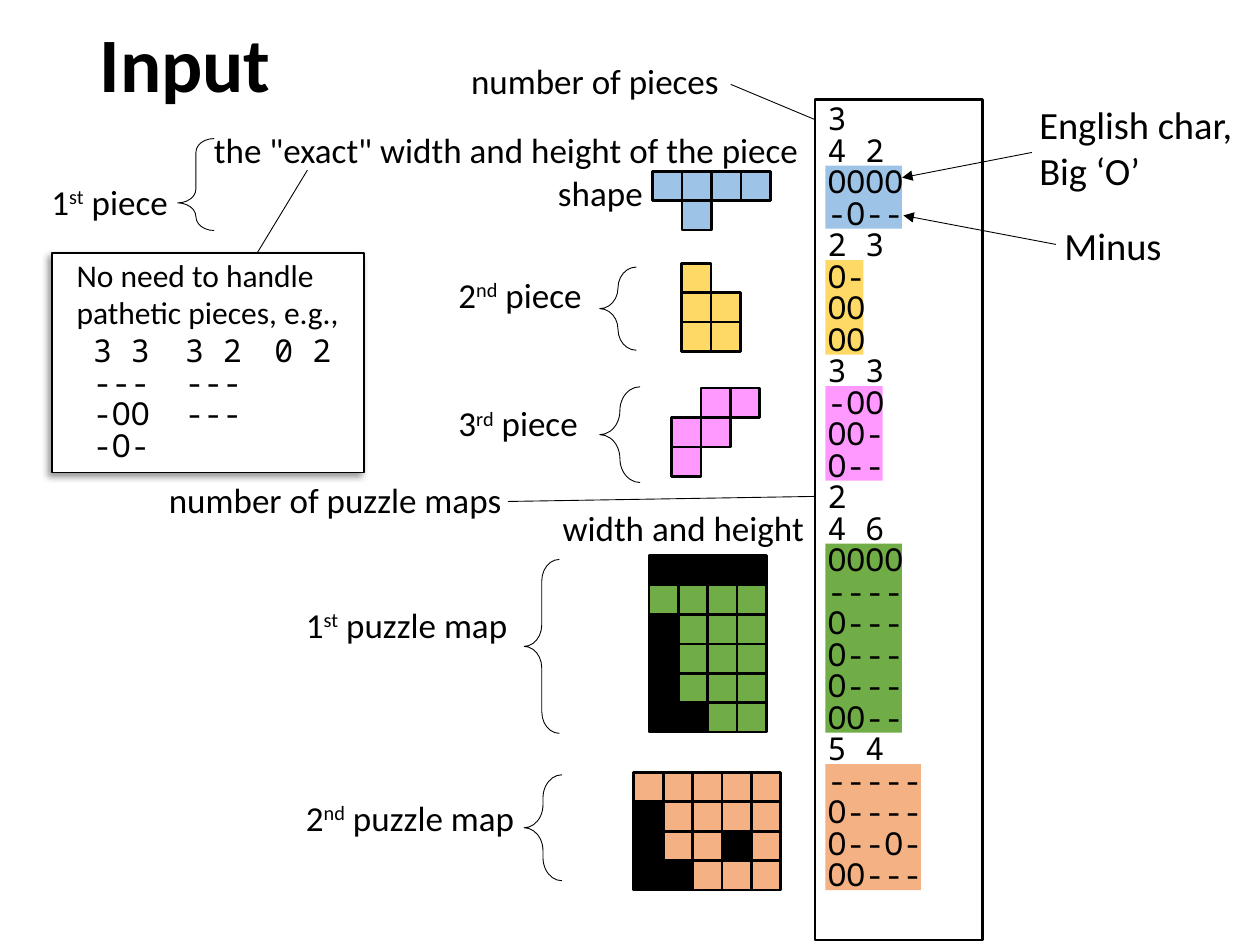
from dataclasses import dataclass

from lxml import etree
from pptx import Presentation
from pptx import util as u
from pptx.dml.color import RGBColor
from pptx.enum import shapes, text
from pptx.oxml import ns


@dataclass(frozen=True)
class Theme:
    """Fonts, sizes and colours of the slide."""
    sans: str = "Calibri"
    mono: str = "Noto Sans Mono"
    title: int = 44
    note: int = 22
    label: int = 20
    code: int = 18
    thin: float = 0.5
    frame: float = 1
    bold: float = 1.5
    black: str = "000000"
    white: str = "FFFFFF"
    blue: str = "9DC3E6"
    yellow: str = "FFD966"
    pink: str = "FF99FF"
    green: str = "70AD47"
    orange: str = "F4B183"


T = Theme()
COLUMNS, ROWS = 100, 75
UNIT = u.Inches(0.1)
CELL = 7 / 3
LINE = 2.5
CHAR = 1.52
LISTING = (64.7, 7.9, 13.3, 66.7)

PIECES = [
    (("OOOO", "-O--"), T.blue, (51.8, 13.6)),
    (("O-", "OO", "OO"), T.yellow, (54.1, 20.9)),
    (("-OO", "OO-", "O--"), T.pink, (53.3, 30.8)),
]
MAPS = [
    (("OOOO", "----", "O---", "O---", "O---", "OO--"), T.green, (51.5, 44.1)),
    (("-----", "O----", "O--O-", "OO---"), T.orange, (50.3, 61.3)),
]


def grid(*cells):
    """Turn grid units into slide lengths."""
    return [round(c * UNIT) for c in cells]


def rgb(color):
    """Read a hex colour."""
    return RGBColor.from_string(color)


def write(tf, content, size=T.label, font=T.sans, bold=False, align=None,
          spacing=None, wrap=True):
    """Fill a text frame; carets enclose superscripts."""
    tf.word_wrap = wrap
    for i, line in enumerate(content.split("\n")):
        p = tf.paragraphs[0] if i == 0 else tf.add_paragraph()
        p.alignment = align
        p.line_spacing = spacing
        for j, part in enumerate(line.split("^")):
            r = p.add_run()
            r.text = part
            r.font.size, r.font.name, r.font.bold = u.Pt(size), font, bold
            r.font.color.rgb = rgb(T.black)
            if j % 2:
                r.font._element.set("baseline", "30000")


def add_label(slide, box, content, **fmt):
    """Add a text box."""
    sp = slide.shapes.add_textbox(*grid(*box))
    write(sp.text_frame, content, **fmt)
    return sp


def add_code(slide, box, content):
    """Add monospaced lines at a fixed pitch."""
    return add_label(slide, box, content, size=T.code, font=T.mono,
                     spacing=u.Pt(T.code))


def add_box(parent, box, fill=None, line=None, kind=shapes.MSO_SHAPE.RECTANGLE):
    """Add a plain shape with optional fill and black outline."""
    sp = parent.shapes.add_shape(kind, *grid(*box))
    sp.shadow.inherit = False
    if fill:
        sp.fill.solid()
        sp.fill.fore_color.rgb = rgb(fill)
    else:
        sp.fill.background()
    if line:
        sp.line.color.rgb = rgb(T.black)
        sp.line.width = u.Pt(line)
    else:
        sp.line.fill.background()
    return sp


def add_brace(slide, box, tip=0.5):
    """Add a left brace whose tip sits at a share of its height."""
    sp = add_box(slide, box, line=T.thin, kind=shapes.MSO_SHAPE.LEFT_BRACE)
    sp.adjustments[0], sp.adjustments[1] = 0.61, tip


def add_line(slide, start, end, arrow=False):
    """Add a thin line, with an arrowhead at its end if asked."""
    c = slide.shapes.add_connector(shapes.MSO_CONNECTOR.STRAIGHT,
                                   *grid(*start, *end))
    c.line.color.rgb = rgb(T.black)
    c.line.width = u.Pt(T.thin)
    if arrow:
        etree.SubElement(c.line._get_or_add_ln(), ns.qn("a:tailEnd"), type="triangle")
    etree.SubElement(c._element.spPr, ns.qn("a:effectLst"))


def add_shadow(sp):
    """Give a shape a soft shadow to the lower left."""
    effects = sp._element.spPr.find(ns.qn("a:effectLst"))
    shadow = etree.SubElement(effects, ns.qn("a:outerShdw"), blurRad=str(u.Pt(4)),
                              dist=str(u.Pt(3)), dir="8100000", algn="tr",
                              rotWithShape="0")
    color = etree.SubElement(shadow, ns.qn("a:srgbClr"), val=T.black)
    etree.SubElement(color, ns.qn("a:alpha"), val="40000")


def add_tiles(slide, pattern, origin, fills):
    """Draw a pattern of squares as a group, skipping unfilled marks."""
    group = slide.shapes.add_group_shape()
    for row, marks in enumerate(pattern):
        for col, mark in enumerate(marks):
            if mark in fills:
                box = (origin[0] + col * CELL, origin[1] + row * CELL, CELL, CELL)
                add_box(group, box, fills[mark], T.bold)


def add_listing(slide):
    """Write the input file with each pattern highlighted."""
    lines = []
    for items in (PIECES, MAPS):
        lines.append(str(len(items)))
        for pattern, color, _ in items:
            width, height = len(pattern[0]), len(pattern)
            lines.append(f"{width} {height}")
            top = LISTING[1] + 0.25 + len(lines) * LINE
            add_box(slide, (65.5, top, width * CHAR, height * LINE), color)
            lines.extend(pattern)
    sp = add_code(slide, LISTING, "\n".join(lines))
    sp.line.color.rgb = rgb(T.black)
    sp.line.width = u.Pt(T.bold)


def add_title(slide, content):
    """Place and format the title."""
    sp = slide.shapes.title
    sp.left, sp.top, sp.width, sp.height = grid(6.9, 0.6, 86.2, 9.5)
    sp.text_frame.vertical_anchor = text.MSO_ANCHOR.MIDDLE
    write(sp.text_frame, content, size=T.title, bold=True, spacing=0.9,
          align=text.PP_ALIGN.LEFT)


def add_labels(slide):
    """Name the parts of the input."""
    add_label(slide, (36.4, 4.2, 31.3, 4.4), "number of pieces")
    add_label(slide, (16, 9.7, 49, 4.4), 'the "exact" width and height of the piece')
    for box, content in [((43.2, 13.1, 8.8, 4.4), "shape"),
                         ((43.5, 39.7, 21.3, 4.4), "width and height"),
                         ((12.1, 37.5, 28.7, 4.4), "number of puzzle maps")]:
        add_label(slide, box, content, align=text.PP_ALIGN.RIGHT, wrap=False)
    for box, content in [((3.1, 13.8, 11.5, 4.4), "1^st^ piece"),
                         ((35.4, 21.2, 12.2, 4.4), "2^nd^ piece"),
                         ((35.4, 31.4, 11.8, 4.4), "3^rd^ piece"),
                         ((23.3, 47.4, 18.3, 4.4), "1^st^ puzzle map"),
                         ((23.3, 62.7, 18.9, 4.4), "2^nd^ puzzle map")]:
        add_label(slide, box, content, wrap=False)
    add_label(slide, (81.5, 7.5, 17.9, 8.4), "English char,\nBig ‘O’", size=T.note)
    add_label(slide, (83.5, 17.1, 14.6, 4.7), "Minus", size=T.note)


def add_pathetic_note(slide):
    """Show the pieces that need no handling."""
    add_shadow(add_box(slide, (4.1, 20.1, 24.8, 17.4), T.white, T.frame))
    add_label(slide, (5.1, 19.8, 23.1, 7.1),
              "No need to handle\npathetic pieces, e.g.,", size=T.code, wrap=False)
    for left, content in [(6.4, "3 3\n---\n-OO\n-O-"), (13.7, "3 2\n---\n---"),
                          (20.8, "0 2")]:
        height = 1 + LINE * len(content.split("\n"))
        add_code(slide, (left, 26.3, 7.2, height), content)


def main():
    """Build and save the slide."""
    prs = Presentation()
    prs.slide_width, prs.slide_height = grid(COLUMNS, ROWS)
    slide = prs.slides.add_slide(prs.slide_layouts[5])
    add_title(slide, "Input")
    add_listing(slide)
    add_labels(slide)
    add_brace(slide, (14.1, 11, 2.9, 7.3), tip=0.7)
    for box in [(47.6, 21.2, 2.9, 6.6), (47.6, 30.7, 3.2, 7.6),
                (41.6, 44.4, 2.8, 13.8), (41.6, 61.5, 3, 8.4)]:
        add_brace(slide, box)
    for pattern, color, origin in PIECES:
        add_tiles(slide, pattern, origin, {"O": color})
    for pattern, color, origin in MAPS:
        add_tiles(slide, pattern, origin, {"O": T.black, "-": color})
    add_line(slide, (81.9, 12.1), (71.6, 14.1), arrow=True)
    add_line(slide, (83.8, 19.4), (71.7, 17.1), arrow=True)
    add_line(slide, (58, 6.7), (64.7, 9.5))
    add_line(slide, (40.3, 39.8), (64.7, 39.4))
    add_pathetic_note(slide)
    add_line(slide, (24.4, 13.5), (20.4, 20.1))
    prs.save("out.pptx")


if __name__ == "__main__":
    main()
